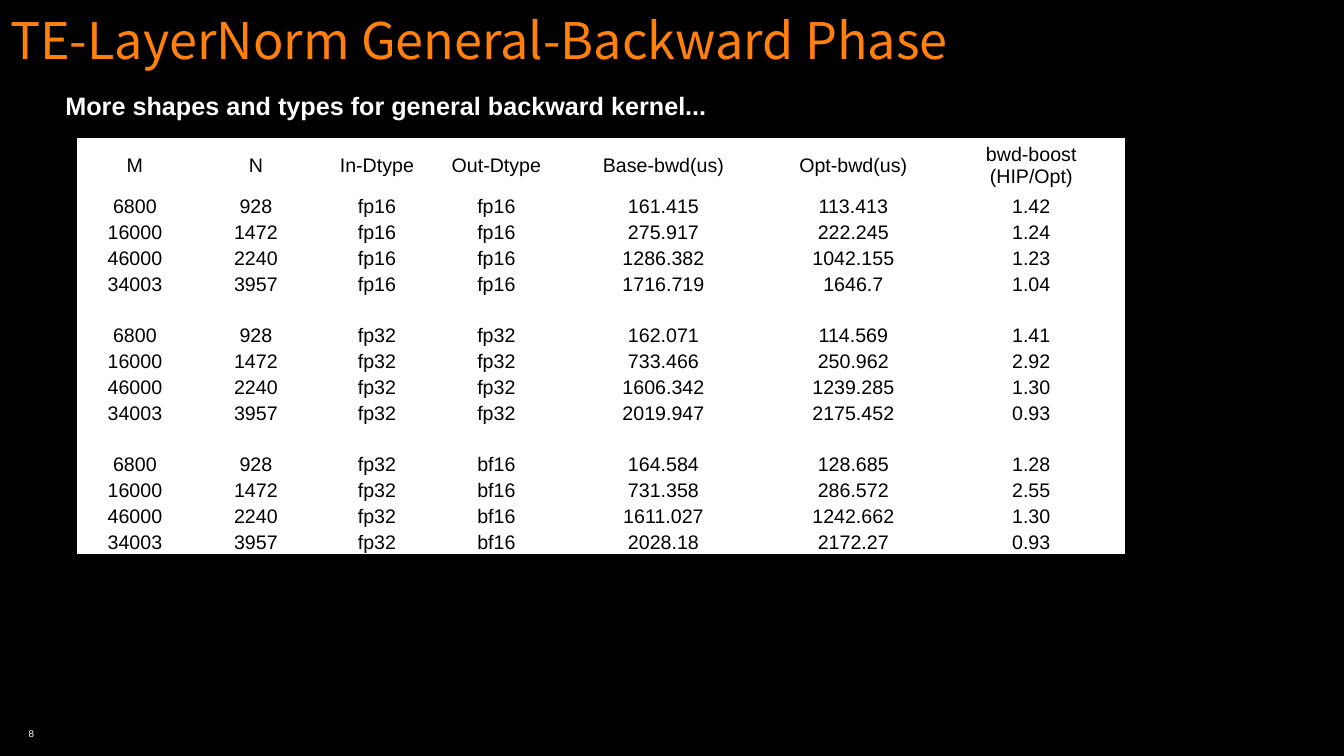
from itertools import product

from lxml.etree import SubElement
from pptx import Presentation
from pptx.dml.color import RGBColor
from pptx.enum.text import MSO_ANCHOR, MSO_AUTO_SIZE, PP_ALIGN
from pptx.oxml.ns import qn
from pptx.util import Cm, Pt

BLACK = RGBColor(0x00, 0x00, 0x00)
WHITE = RGBColor(0xFF, 0xFF, 0xFF)
ORANGE = RGBColor(0xFF, 0x80, 0x0D)

HEADINGS = ["M", "N", "In-Dtype", "Out-Dtype", "Base-bwd(us)", "Opt-bwd(us)",
            "bwd-boost\v(HIP/Opt)"]
SHAPES = [("6800", "928"), ("16000", "1472"), ("46000", "2240"), ("34003", "3957")]
# For each pair of types: base time, optimised time and boost per shape
TIMINGS = {
    ("fp16", "fp16"): [("161.415", "113.413", "1.42"), ("275.917", "222.245", "1.24"),
                       ("1286.382", "1042.155", "1.23"), ("1716.719", "1646.7", "1.04")],
    ("fp32", "fp32"): [("162.071", "114.569", "1.41"), ("733.466", "250.962", "2.92"),
                       ("1606.342", "1239.285", "1.30"), ("2019.947", "2175.452", "0.93")],
    ("fp32", "bf16"): [("164.584", "128.685", "1.28"), ("731.358", "286.572", "2.55"),
                       ("1611.027", "1242.662", "1.30"), ("2028.18", "2172.27", "0.93")],
}
COLUMN_WIDTHS = [2.9, 3.2, 2.9, 3.12, 5.3, 4.27, 4.7]
HEADER_HEIGHT, ROW_HEIGHT = 1.34, 0.65


def place(box, left, top, width, height):
    box.left, box.top, box.width, box.height = Cm(left), Cm(top), Cm(width), Cm(height)


def write(paragraph, text, size, color, name="Arial", bold=False, align=PP_ALIGN.LEFT):
    paragraph.text = text
    paragraph.alignment = align
    for span in paragraph.runs:
        for key, value in {"size": Pt(size), "name": name, "bold": bold}.items():
            setattr(span.font, key, value)
        span.font.color.rgb = color


deck = Presentation()
deck.slide_width, deck.slide_height = Cm(33.87), Cm(19.05)
page = deck.slides.add_slide(deck.slide_layouts[5])
page.background.fill.solid()
page.background.fill.fore_color.rgb = BLACK

# Title bar
title = page.shapes.title
place(title, 0, 0, 33.87, 2)
title.fill.solid()
title.fill.fore_color.rgb = BLACK
title.text_frame.auto_size = MSO_AUTO_SIZE.NONE
title.text_frame.vertical_anchor = MSO_ANCHOR.MIDDLE
write(title.text_frame.paragraphs[0], "TE-LayerNorm General-Backward Phase",
      36, ORANGE, name="Noto Sans CJK SC")

# Subtitle
subtitle = page.shapes.add_textbox(Cm(1.4), Cm(2.16), Cm(21.11), Cm(1.02))
subtitle.text_frame.word_wrap = True
write(subtitle.text_frame.paragraphs[0],
      "More shapes and types for general backward kernel...", 18, WHITE, bold=True)

# Page number
number = page.shapes.add_textbox(Cm(0.53), Cm(18.21), Cm(0.33), Cm(0.53))
frame = number.text_frame
frame.margin_left = frame.margin_right = 0
frame.margin_top = frame.margin_bottom = Cm(0.1)
frame.vertical_anchor = MSO_ANCHOR.MIDDLE
frame.word_wrap = False
write(frame.paragraphs[0], "8", 7, WHITE, align=PP_ALIGN.RIGHT)

# Table rows, with an empty row between the type groups
rows = [HEADINGS]
for types, timings in TIMINGS.items():
    if len(rows) > 1:
        rows.append([""] * len(HEADINGS))
    rows += [[*shape, *types, *timing] for shape, timing in zip(SHAPES, timings)]

heights = [HEADER_HEIGHT] + [ROW_HEIGHT] * (len(rows) - 1)
table = page.shapes.add_table(len(rows), len(HEADINGS), Cm(1.95), Cm(3.5),
                              Cm(sum(COLUMN_WIDTHS)), Cm(sum(heights))).table
table.first_row = table.horz_banding = False
for column, width in zip(table.columns, COLUMN_WIDTHS):
    column.width = Cm(width)
for row, height in zip(table.rows, heights):
    row.height = Cm(height)

# Table cells
for i, j in product(range(len(rows)), range(len(HEADINGS))):
    cell = table.cell(i, j)
    cell.margin_left = cell.margin_right = cell.margin_top = Cm(0.03)
    cell.margin_bottom = 0
    cell.vertical_anchor = MSO_ANCHOR.BOTTOM if i else MSO_ANCHOR.MIDDLE
    para = cell.text_frame.paragraphs[0]
    write(para, rows[i][j], 14, BLACK, align=PP_ALIGN.CENTER)

    # Line breaks and empty cells keep the text size
    for line_break in para._p.findall(qn("a:br")):
        SubElement(line_break, qn("a:rPr"), sz="1400")
    if not rows[i][j]:
        SubElement(para._p, qn("a:endParaRPr"), sz="1400")

    # White borders, then the fill
    for side in ("lnL", "lnR", "lnT", "lnB"):
        border = SubElement(cell._tc.get_or_add_tcPr(), qn(f"a:{side}"), w=str(Pt(1)))
        SubElement(SubElement(border, qn("a:solidFill")), qn("a:srgbClr"), val=str(WHITE))
    cell.fill.solid()
    cell.fill.fore_color.rgb = WHITE

deck.save("out.pptx")
